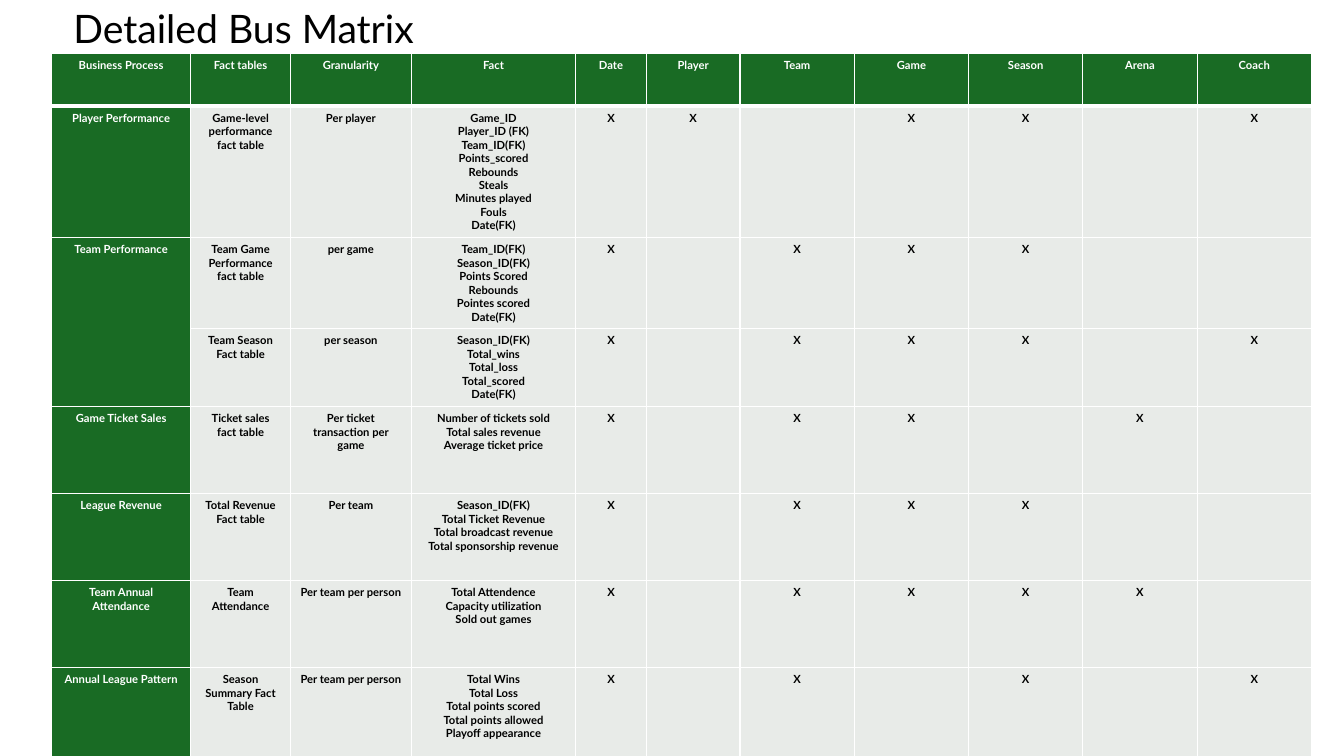
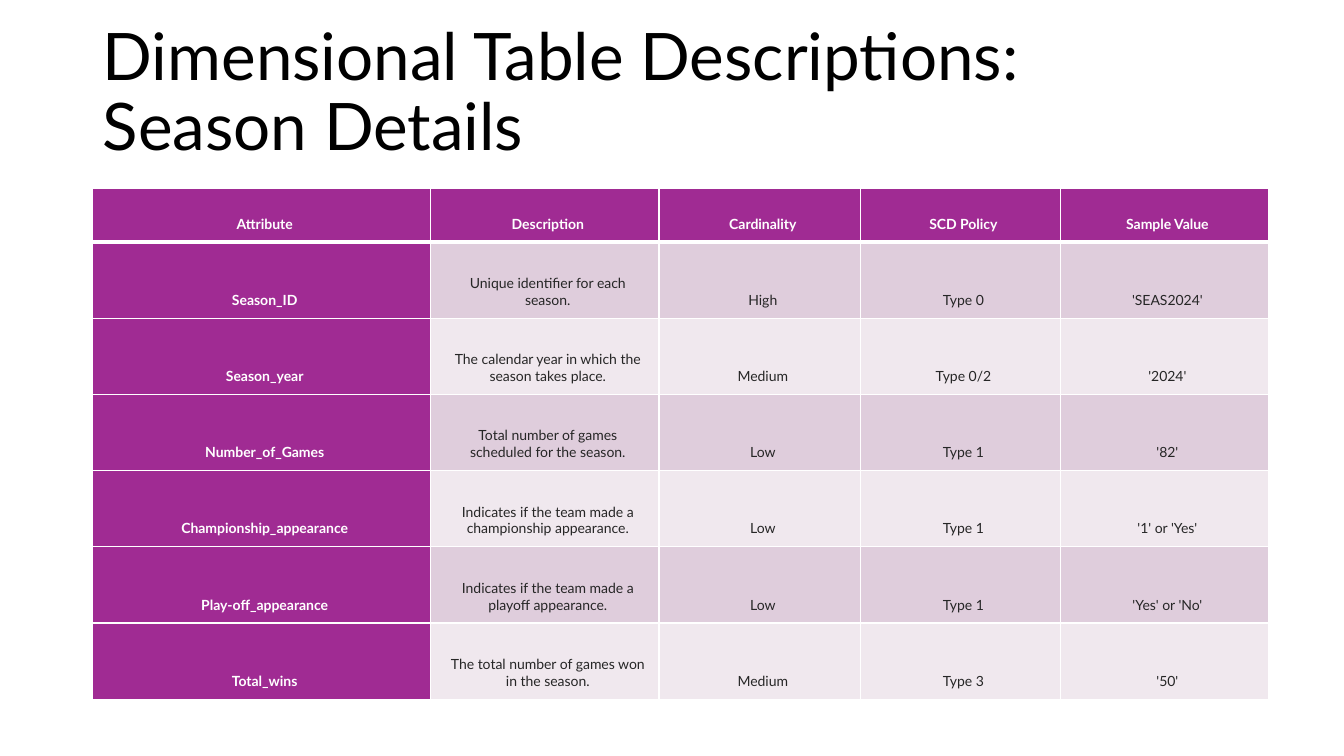
"""Build two slides: a bus matrix and the season dimension table."""
from lxml import etree
from pptx import Presentation
from pptx import util as u
from pptx.dml.color import RGBColor
from pptx.enum import text
from pptx.oxml.ns import qn

FONT = "Lato"
WHITE, BLACK, CHARCOAL = "FFFFFF", "000000", "262626"
GREEN, PALE_GREEN = "196B24", "E8EBE8"
PURPLE, MAUVE, PALE_MAUVE = "A02B93", "DFCDDC", "F0E8EE"

rgb = RGBColor.from_string


def add_title(slide, wording, left, top, width, height, size):
    box = slide.shapes.add_textbox(u.Cm(left), u.Cm(top), u.Cm(width), u.Cm(height))
    frame = box.text_frame
    frame.word_wrap = True
    frame.vertical_anchor = text.MSO_ANCHOR.MIDDLE
    frame.paragraphs[0].line_spacing = 0.9
    run = frame.paragraphs[0].add_run()
    run.text = wording
    run.font.name, run.font.size = FONT, u.Pt(size)
    run.font.color.rgb = rgb(BLACK)


def add_grid(slide, rows, left, top, widths, heights, size, accent, bands, ink,
             bold_body, anchor, margins):
    table = slide.shapes.add_table(
        len(rows), len(widths), u.Cm(left), u.Cm(top),
        u.Cm(sum(widths)), u.Cm(sum(heights))).table
    table.horz_banding = False
    for column, width in zip(table.columns, widths):
        column.width = u.Cm(width)
    for row, height in zip(table.rows, heights):
        row.height = u.Cm(height)
    for r, row in enumerate(rows):
        for c, wording in enumerate(row):
            heading = r == 0 or c == 0
            cell = table.cell(r, c)
            cell.vertical_anchor = anchor
            (cell.margin_left, cell.margin_top,
             cell.margin_right, cell.margin_bottom) = map(u.Cm, margins)
            borders = {"lnL": 1, "lnR": 1, "lnT": 3 if r == 1 else 1,
                       "lnB": 3 if r == 0 else 1}
            properties = cell._tc.get_or_add_tcPr()
            for side, weight in borders.items():
                line = etree.SubElement(properties, qn(f"a:{side}"), w=str(u.Pt(weight)))
                solid = etree.SubElement(line, qn("a:solidFill"))
                etree.SubElement(solid, qn("a:srgbClr"), val=WHITE)
            cell.fill.solid()
            cell.fill.fore_color.rgb = rgb(accent if heading else bands[(r - 1) % len(bands)])
            if not wording:
                continue
            for n, line_text in enumerate(wording.split("\n")):
                frame = cell.text_frame
                paragraph = frame.add_paragraph() if n else frame.paragraphs[0]
                paragraph.alignment = text.PP_ALIGN.CENTER
                run = paragraph.add_run()
                run.text = line_text
                run.font.name, run.font.size = FONT, u.Pt(size)
                run.font.bold = heading or bold_body
                run.font.color.rgb = rgb(WHITE if heading else ink)
    return table


deck = Presentation()
deck.slide_width, deck.slide_height = u.Cm(33.87), u.Cm(19.05)
blank = deck.slide_layouts[6]

dimensions = ["Date", "Player", "Team", "Game", "Season", "Arena", "Coach"]
processes = [
    ("Player Performance", "Game-level performance fact table", "Per player",
     "Game_ID\nPlayer_ID (FK)\nTeam_ID(FK)\nPoints_scored\nRebounds\nSteals\n"
     "Minutes played\nFouls\nDate(FK)", "XX-XX-X"),
    ("Team Performance", "Team Game Performance fact table", "per game",
     "Team_ID(FK)\nSeason_ID(FK)\nPoints Scored\nRebounds\nPointes scored\nDate(FK)",
     "X-XXX--"),
    ("", "Team Season Fact table", "per season",
     "Season_ID(FK)\nTotal_wins\nTotal_loss\nTotal_scored\nDate(FK)", "X-XXX-X"),
    ("Game Ticket Sales", "Ticket sales fact table", "Per ticket transaction per game",
     "Number of tickets sold\nTotal sales revenue\nAverage ticket price", "X-XX-X-"),
    ("League Revenue", "Total Revenue Fact table", "Per team",
     "Season_ID(FK)\nTotal Ticket Revenue\nTotal broadcast revenue\n"
     "Total sponsorship revenue", "X-XXX--"),
    ("Team Annual Attendance", "Team Attendance", "Per team per person",
     "Total Attendence\nCapacity utilization\nSold out games", "X-XXXX-"),
    ("Annual League Pattern", "Season Summary Fact Table", "Per team per person",
     "Total Wins\nTotal Loss\nTotal points scored\nTotal points allowed\n"
     "Playoff appearance", "X-X-X-X"),
]
matrix = [["Business Process", "Fact tables", "Granularity", "Fact", *dimensions]]
for *details, marks in processes:
    matrix.append(details + [mark.replace("-", "") for mark in marks])

bus_slide = deck.slides.add_slide(blank)
add_title(bus_slide, "Detailed Bus Matrix", 1.6, -0.36, 29.2, 2.29, 28)
bus_matrix = add_grid(
    bus_slide, matrix, 1.3, 1.35,
    widths=[3.51, 2.51, 3.05, 4.14, 1.78, 2.36] + [2.88] * 5,
    heights=[1.32, 3.32, 2.27, 1.97, 2.19, 2.19, 2.19, 2.27],
    size=8, accent=GREEN, bands=[PALE_GREEN], ink=BLACK, bold_body=True,
    anchor=text.MSO_ANCHOR.TOP, margins=(0.25, 0.13, 0.25, 0.13))
bus_matrix.cell(2, 0).merge(bus_matrix.cell(3, 0))

attributes = [
    ("Attribute", "Description", "Cardinality", "SCD Policy", "Sample Value"),
    ("Season_ID", "Unique identifier for each season.", "High", "Type 0", "'SEAS2024'"),
    ("Season_year", "The calendar year in which the season takes place.",
     "Medium", "Type 0/2", "'2024'"),
    ("Number_of_Games", "Total number of games scheduled for the season.",
     "Low", "Type 1", "'82'"),
    ("Championship_appearance", "Indicates if the team made a championship appearance.",
     "Low", "Type 1", "'1' or 'Yes'"),
    ("Play-off_appearance", "Indicates if the team made a playoff appearance.",
     "Low", "Type 1", "'Yes' or 'No'"),
    ("Total_wins", "The total number of games won in the season.",
     "Medium", "Type 3", "'50'"),
]
season_slide = deck.slides.add_slide(blank)
add_title(season_slide, "Dimensional Table Descriptions: Season Details",
          2.34, 0.84, 28.88, 3.07, 46.8)
add_grid(
    season_slide, attributes, 2.34, 4.75,
    widths=[8.5, 5.77, 5.07, 5.04, 5.24], heights=[1.35] + [1.92] * 6,
    size=10, accent=PURPLE, bands=[MAUVE, PALE_MAUVE], ink=CHARCOAL, bold_body=False,
    anchor=text.MSO_ANCHOR.BOTTOM, margins=(0.41, 0.25, 0.25, 0.25))

deck.save("out.pptx")
